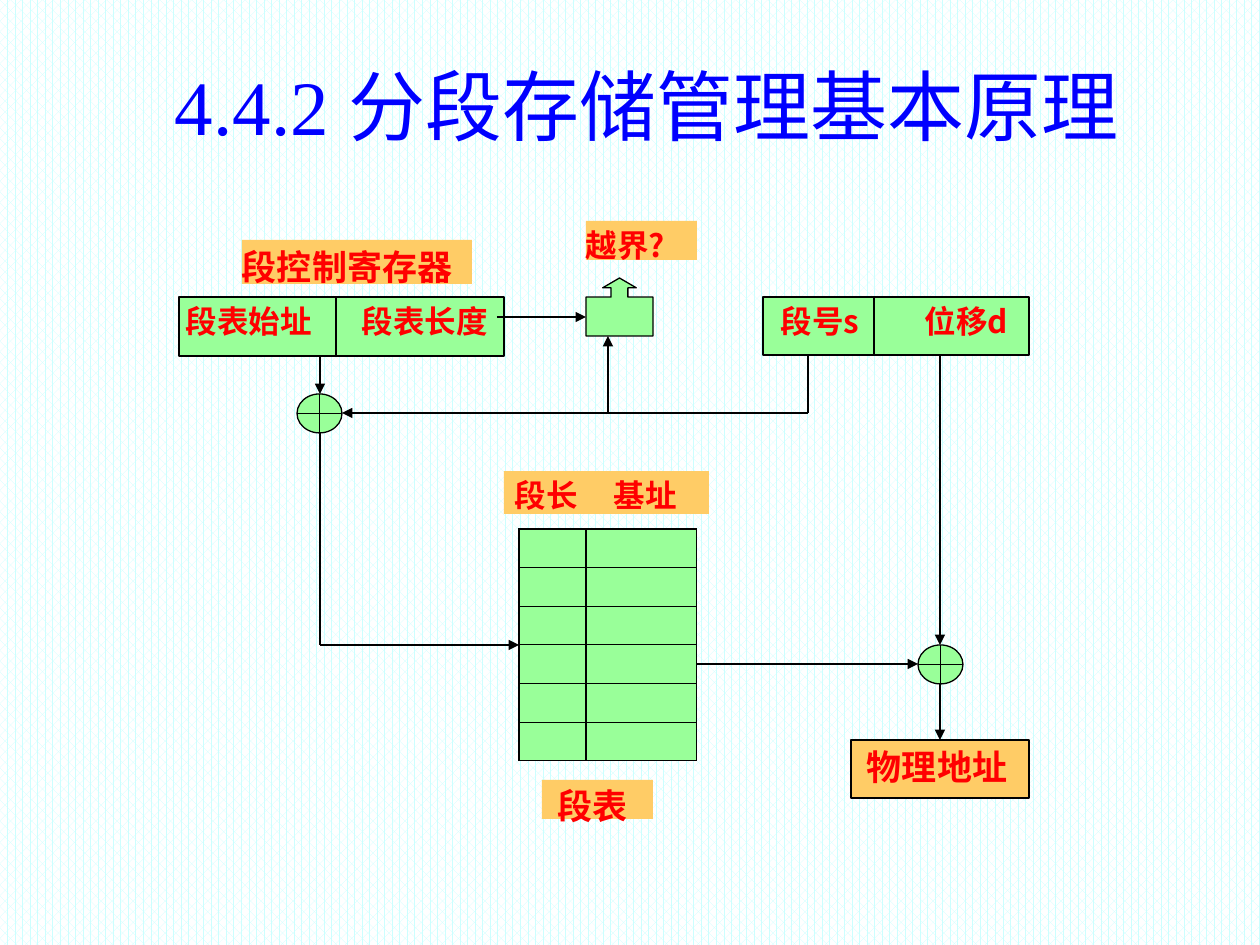
import pptx
import pptx.util
import pptx.dml.color
import pptx.enum.dml
import pptx.enum.shapes
import pptx.enum.text
import pptx.oxml.ns
import lxml.etree

THEME = {
    "title_font": "Times New Roman", "label_font": "Noto Sans CJK JP",
    "title_size": 44, "large": 20, "medium": 18, "line_width": 0.75,
    "title": "0000FF", "text": "FF0000", "line": "000000",
    "green": "99FF99", "orange": "FFCC66",
    "stripe": "CCFFFF", "paper": "FFFFFF",
}
PX = 914400 // 126
SHAPE = pptx.enum.shapes.MSO_SHAPE
qn = pptx.oxml.ns.qn


def rgb(name):
    return pptx.dml.color.RGBColor.from_string(THEME[name])


def add_box(kind, box, fill, outlined, text="", size="medium", inset=0, tab=0):
    """Add a filled shape; tab is measured from the start of its text."""
    sp = slide.shapes.add_shape(kind, *[v * PX for v in box])
    sp.shadow.inherit = False
    sp.fill.solid()
    sp.fill.fore_color.rgb = rgb(fill)
    if outlined:
        sp.line.color.rgb = rgb("line")
        sp.line.width = pptx.util.Pt(THEME["line_width"])
    else:
        sp.line.fill.background()
    if text:
        tf = sp.text_frame
        tf.word_wrap = True
        tf.vertical_anchor = pptx.enum.text.MSO_ANCHOR.TOP
        tf.margin_left, tf.margin_top = inset * PX, 5 * PX
        tf.margin_right = tf.margin_bottom = 0
        p = tf.paragraphs[0]
        p.text = text
        p.alignment = pptx.enum.text.PP_ALIGN.JUSTIFY
        if tab:
            tabs = lxml.etree.SubElement(p._p.get_or_add_pPr(), qn("a:tabLst"))
            lxml.etree.SubElement(tabs, qn("a:tab"), pos=str(tab * PX), algn="l")
        for r in p.runs:
            r.font.size = pptx.util.Pt(THEME[size])
            r.font.bold = True
            r.font.color.rgb = rgb("text")
            r.font.name = THEME["label_font"]
            lxml.etree.SubElement(r._r.get_or_add_rPr(), qn("a:ea"),
                                  typeface=THEME["label_font"])
    return sp


prs = pptx.Presentation()
prs.slide_width, prs.slide_height = pptx.util.Inches(10), pptx.util.Inches(7.5)
slide = prs.slides.add_slide(prs.slide_layouts[5])

# Patterned background
fill = slide.background.fill
fill.patterned()
fill.pattern = pptx.enum.dml.MSO_PATTERN.PERCENT_60
fill.fore_color.rgb, fill.back_color.rgb = rgb("stripe"), rgb("paper")

# Title
title = slide.shapes.title
title.left, title.top, title.width, title.height = [
    v * PX for v in (64, 26, 1166, 158)]
tf = title.text_frame
tf.text = "4.4.2 分段存储管理基本原理"
tf.vertical_anchor = pptx.enum.text.MSO_ANCHOR.MIDDLE
p = tf.paragraphs[0]
p.alignment = pptx.enum.text.PP_ALIGN.CENTER
r = p.runs[0]
r.font.name = THEME["title_font"]
r.font.size = pptx.util.Pt(THEME["title_size"])
r.font.color.rgb = rgb("title")

# Captions without outline
for box, text, size, inset, tab in (
    ((242, 240, 230, 44), "段控制寄存器", "large", 0, 0),
    ((586, 221, 111, 39), "越界?", "medium", 0, 0),
    ((504, 471, 205, 43), "段长\t基址", "medium", 11, 99),
    ((542, 780, 111, 39), "段表", "large", 16, 0),
):
    add_box(SHAPE.RECTANGLE, box, "orange", False, text, size, inset, tab)

# Registers, adders, bounds check and physical address
add_box(SHAPE.RECTANGLE, (179, 297, 325, 59), "green", True,
        "段表始址\t段表长度", "medium", 7, 176)
add_box(SHAPE.RECTANGLE, (763, 297, 266, 58), "green", True,
        "段号s\t位移d", "medium", 18, 144)
for x, y in ((297, 394), (918, 645)):
    add_box(SHAPE.FLOWCHART_OR, (x, y, 45, 39), "green", True)
check = add_box(SHAPE.UP_ARROW_CALLOUT, (586, 278, 67, 58), "green", True)
for i, value in enumerate((0.29, 0.29, 0.17, 0.67)):
    check.adjustments[i] = value
address = add_box(SHAPE.RECTANGLE, (851, 740, 178, 58), "orange", True,
                  "物理地址", "large", 16)

# Segment table
ROWS, WIDTHS = 6, (67, 111)
frame = slide.shapes.add_table(
    ROWS, len(WIDTHS), 519 * PX, 529 * PX, sum(WIDTHS) * PX, 232 * PX)
table = frame.table
table.first_row = table.horz_banding = False
for column, width in zip(table.columns, WIDTHS):
    column.width = width * PX
for cell in table.iter_cells():
    cell.margin_top = cell.margin_bottom = 0
    cell.text_frame.paragraphs[0].font.size = pptx.util.Pt(THEME["medium"] // 2)
    tcPr = cell._tc.get_or_add_tcPr()
    for side in ("a:lnL", "a:lnR", "a:lnT", "a:lnB"):
        ln = lxml.etree.SubElement(
            tcPr, qn(side), w=str(pptx.util.Pt(THEME["line_width"])))
        solid = lxml.etree.SubElement(ln, qn("a:solidFill"))
        lxml.etree.SubElement(solid, qn("a:srgbClr"), val=THEME["line"])
    cell.fill.solid()
    cell.fill.fore_color.rgb = rgb("green")

# Dividers and data flow: start x, y, end x, y, arrowhead, joined box
for x1, y1, x2, y2, arrow, target in (
    (336, 297, 336, 356, False, None),
    (874, 297, 874, 355, False, None),
    (320, 356, 320, 394, True, None),
    (808, 355, 808, 413, False, None),
    (808, 413, 342, 413, True, None),
    (608, 413, 608, 336, True, None),
    (497, 317, 586, 317, True, None),
    (320, 433, 320, 645, False, None),
    (320, 645, 519, 645, True, None),
    (697, 664, 918, 664, True, None),
    (940, 355, 940, 645, True, None),
    (940, 684, 940, 740, True, address),
):
    line = slide.shapes.add_connector(
        pptx.enum.shapes.MSO_CONNECTOR.STRAIGHT,
        x1 * PX, y1 * PX, x2 * PX, y2 * PX)
    line.line.color.rgb = rgb("line")
    line.line.width = pptx.util.Pt(THEME["line_width"])
    if arrow:
        lxml.etree.SubElement(line.line._get_or_add_ln(), qn("a:tailEnd"),
                              type="triangle")
    lxml.etree.SubElement(line._element.spPr, qn("a:effectLst"))
    if target is not None:
        line.end_connect(target, 0)

prs.save("out.pptx")
